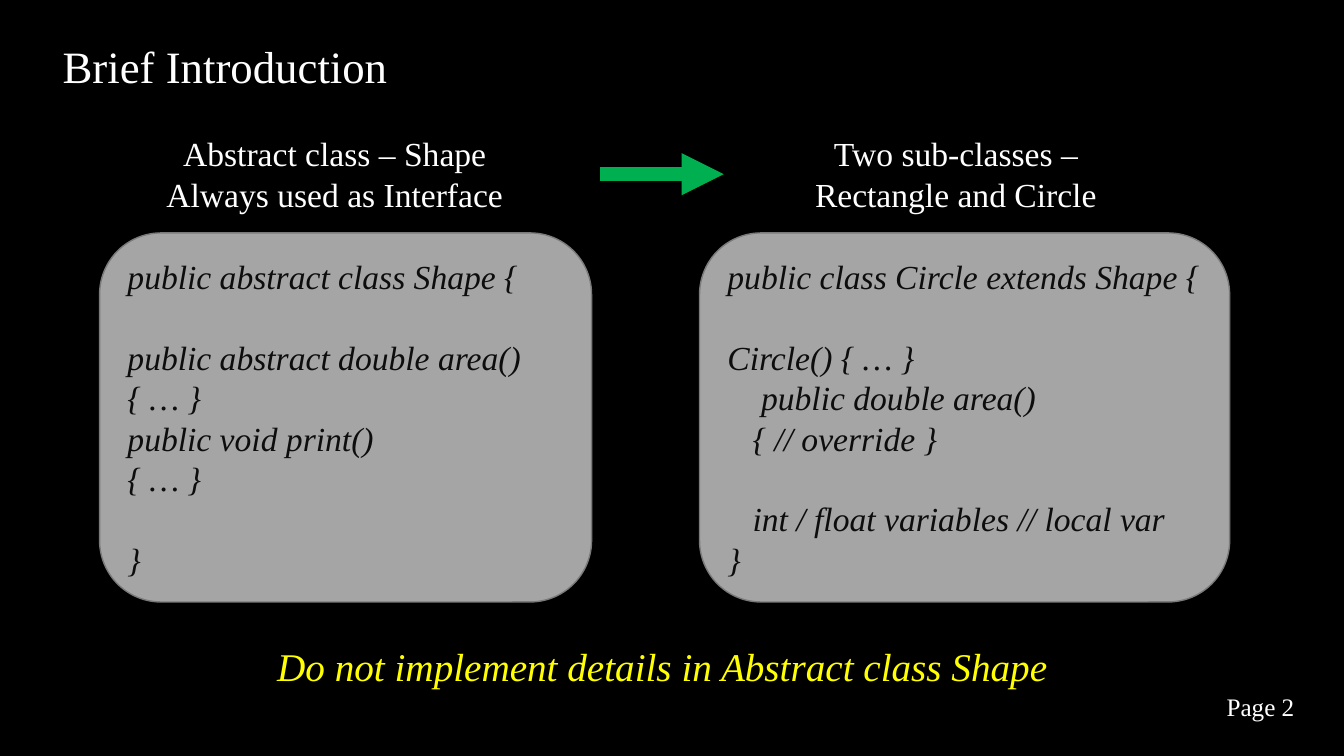
from dataclasses import dataclass

from lxml import etree
from pptx import Presentation
from pptx.dml.color import RGBColor
from pptx.enum.shapes import MSO_CONNECTOR, MSO_SHAPE
from pptx.enum.text import MSO_ANCHOR, PP_ALIGN
from pptx.oxml.ns import qn
from pptx.util import Cm, Pt

STRAIGHT = MSO_CONNECTOR.STRAIGHT
ROUNDED = MSO_SHAPE.ROUNDED_RECTANGLE
MIDDLE = MSO_ANCHOR.MIDDLE
LEFT = PP_ALIGN.LEFT
CENTER = PP_ALIGN.CENTER


@dataclass(frozen=True)
class Theme:
    font: str = "Times New Roman"
    background: str = "000000"
    text: str = "FFFFFF"
    code: str = "0D0D0D"
    panel: str = "A5A5A5"
    border: str = "7A7A7A"
    arrow: str = "00B050"
    accent: str = "FFFF00"
    title_size: int = 32
    note_size: int = 28
    body_size: int = 24
    page_size: int = 18
    blank_line: int = 29


THEME = Theme()
HEADING_TOP, HEADING_HEIGHT = 3.23, 2.31
PANEL_TOP, PANEL_HEIGHT = 5.87, 9.3

# Each code line: text, indent in points, blank line above
SHAPE_CODE = [
    ("public abstract class Shape {", 0, False),
    ("public abstract double area() { … }", 0, True),
    ("public void print()", 0, False),
    ("{ … }", 0, False),
    ("}", 0, True),
]
CIRCLE_CODE = [
    ("public class Circle extends Shape {", 0, False),
    ("Circle() { … }", 0, True),
    ("public double area()", 24, False),
    ("{ // override }", 18, False),
    ("int / float variables // local var", 18, True),
    ("}", 0, False),
]


def color(value):
    return RGBColor.from_string(value)


def add_span(para, text, size, ink, italic=False):
    span = para.add_run()
    span.text = text
    span.font.name = THEME.font
    span.font.size = Pt(size)
    span.font.color.rgb = color(ink)
    span.font.italic = italic


def next_para(frame, index):
    return frame.add_paragraph() if index else frame.paragraphs[0]


def add_text(page, place, lines, size, ink=THEME.text, align=CENTER, italic=False):
    box = page.shapes.add_textbox(*map(Cm, place))
    frame = box.text_frame
    frame.word_wrap = True
    for index, line in enumerate(lines):
        para = next_para(frame, index)
        para.alignment = align
        add_span(para, line, size, ink, italic)


def add_code_panel(page, left, width, lines):
    panel = page.shapes.add_shape(
        ROUNDED, Cm(left), Cm(PANEL_TOP), Cm(width), Cm(PANEL_HEIGHT))
    panel.shadow.inherit = False
    panel.fill.solid()
    panel.fill.fore_color.rgb = color(THEME.panel)
    panel.line.color.rgb = color(THEME.border)
    panel.line.width = Pt(1)
    frame = panel.text_frame
    frame.word_wrap = True
    frame.vertical_anchor = MIDDLE
    for index, (text, indent, gap) in enumerate(lines):
        para = next_para(frame, index)
        para.alignment = LEFT
        para.space_before = Pt(THEME.blank_line if gap else 0)
        para._p.get_or_add_pPr().set("marL", str(Pt(indent)))
        add_span(para, text, THEME.body_size, THEME.code, italic=True)


def add_arrow(page, start, end, level):
    arrow = page.shapes.add_connector(
        STRAIGHT, Cm(start), Cm(level), Cm(end), Cm(level))
    arrow.line.color.rgb = color(THEME.arrow)
    arrow.line.width = Pt(10)
    etree.SubElement(arrow.line._get_or_add_ln(), qn("a:tailEnd"), type="triangle")
    etree.SubElement(arrow._element.spPr, qn("a:effectLst"))


def add_column(page, heading_left, heading_width, heading, left, width, code):
    place = (heading_left, HEADING_TOP, heading_width, HEADING_HEIGHT)
    add_text(page, place, heading, THEME.body_size)
    add_code_panel(page, left, width, code)


def main():
    deck = Presentation()
    deck.slide_width, deck.slide_height = Cm(33.87), Cm(19.05)
    page = deck.slides.add_slide(deck.slide_layouts[6])
    page.background.fill.solid()
    page.background.fill.fore_color.rgb = color(THEME.background)

    add_text(page, (1.04, 0.84, 9.27, 1.63), ["Brief Introduction"], THEME.title_size)
    add_column(page, 3.66, 9.55, ["Abstract class – Shape", "Always used as Interface"],
               2.51, 12.4, SHAPE_CODE)
    add_column(page, 19.58, 9.02, ["Two sub-classes – Rectangle and Circle"],
               17.63, 13.36, CIRCLE_CODE)
    add_arrow(page, 15.11, 18.24, 4.39)
    add_text(page, (30.66, 17.3, 2.31, 1.02), ["Page 2"], THEME.page_size, align=LEFT)
    add_text(page, (6.48, 16.05, 20.42, 1.45),
             ["Do not implement details in Abstract class Shape"],
             THEME.note_size, THEME.accent, italic=True)
    deck.save("out.pptx")


main()
